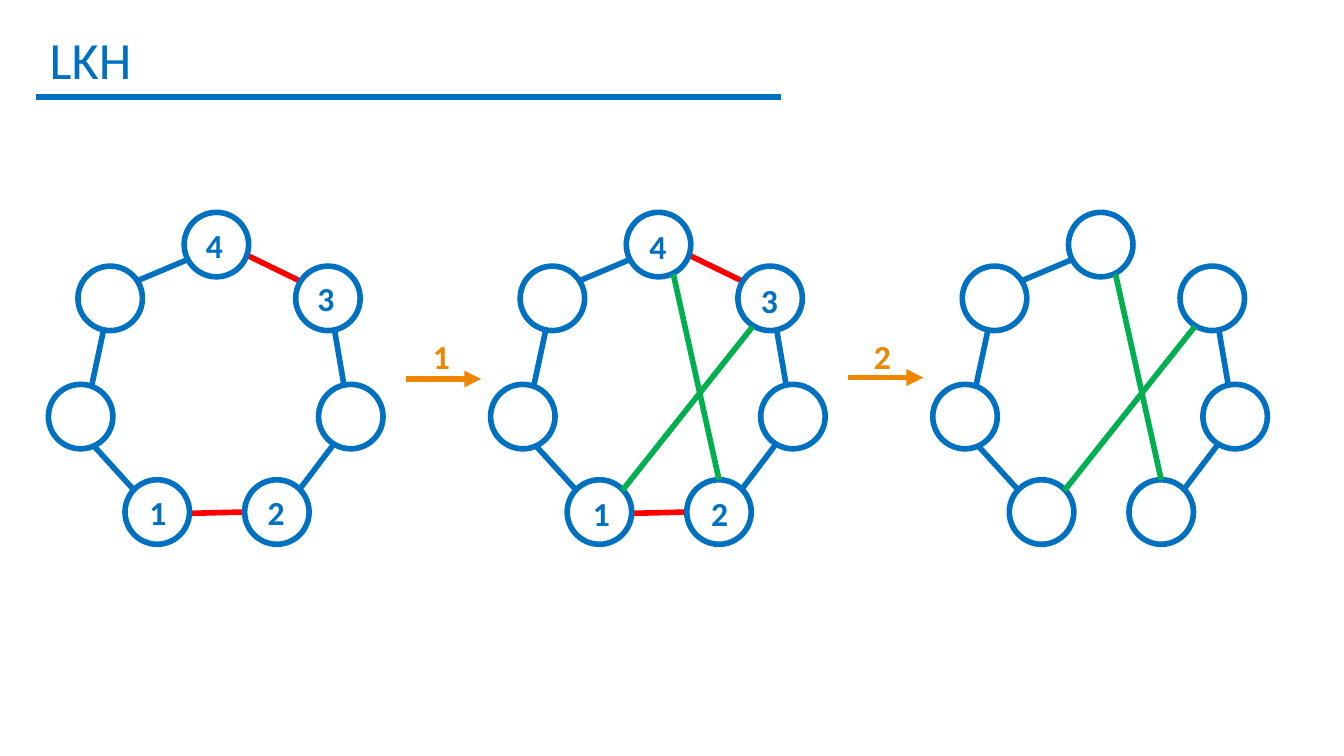
from lxml import etree
from pptx import Presentation
from pptx.dml.color import RGBColor
from pptx.enum.shapes import MSO_CONNECTOR, MSO_SHAPE
from pptx.enum.text import MSO_ANCHOR, MSO_AUTO_SIZE, PP_ALIGN
from pptx.oxml.ns import qn
from pptx.util import Inches, Pt

BLUE = RGBColor(0x00, 0x70, 0xC0)
RED = RGBColor(0xFF, 0x00, 0x00)
GREEN = RGBColor(0x00, 0xB0, 0x50)
ORANGE = RGBColor(0xEF, 0x86, 0x00)
STRAIGHT = MSO_CONNECTOR.STRAIGHT
OVAL = MSO_SHAPE.OVAL
TOP, MIDDLE = MSO_ANCHOR.TOP, MSO_ANCHOR.MIDDLE
LEFT, CENTER = PP_ALIGN.LEFT, PP_ALIGN.CENTER
NO_AUTOFIT = MSO_AUTO_SIZE.NONE

TOUR_STEP = 3.29
LABEL_STEP = 3.3
NODE_SIZE = 0.48
LABEL_HEIGHT = 0.28

# Positions within the first tour; the other tours are shifted to the right.
NODES = [(1.37, 1.58), (0.58, 1.98), (2.2, 1.98), (0.36, 2.86),
         (2.37, 2.86), (1.82, 3.57), (0.93, 3.57)]
KEPT_EDGES = [(1.02, 2.09, 1.4, 1.93), (2.56, 2.87, 2.49, 2.46),
              (2.23, 3.64, 2.48, 3.31), (0.7, 3.32, 1.0, 3.65),
              (0.68, 2.88, 0.77, 2.46)]
REMOVED_EDGES = [(2.23, 2.09, 1.84, 1.9), (1.41, 3.82, 1.82, 3.81)]
ADDED_EDGES = [(2.06, 3.57, 1.72, 2.04), (1.34, 3.65, 2.31, 2.43)]
NODE_LABELS = [("1", 0.99, 3.67), ("2", 1.87, 3.67),
               ("3", 2.24, 2.08), ("4", 1.41, 1.68)]


class TourSlide:
    font = "Calibri"
    line_width = Pt(3)

    def __init__(self, presentation):
        self.slide = presentation.slides.add_slide(presentation.slide_layouts[5])
        self.shapes = self.slide.shapes

    def style_text(self, frame, text, size, color, bold, align, anchor):
        frame.text = text
        frame.word_wrap = True
        frame.auto_size = NO_AUTOFIT
        frame.vertical_anchor = anchor
        paragraph = frame.paragraphs[0]
        paragraph.alignment = align
        font = paragraph.font
        font.name, font.size, font.bold = self.font, Pt(size), bold
        font.color.rgb = color

    def title(self, text, left, top, width, height):
        title = self.shapes.title
        title.left, title.top = Inches(left), Inches(top)
        title.width, title.height = Inches(width), Inches(height)
        frame = title.text_frame
        frame.margin_left = frame.margin_right = Inches(0.1)
        frame.margin_top = frame.margin_bottom = Inches(0.1)
        self.style_text(frame, text, 28, BLUE, False, LEFT, TOP)

    def label(self, text, left, top, width, color):
        box = self.shapes.add_textbox(Inches(left), Inches(top),
                                      Inches(width), Inches(LABEL_HEIGHT))
        self.style_text(box.text_frame, text, 18, color, True, CENTER, MIDDLE)

    def line(self, points, color, shapes=None):
        shapes = self.shapes if shapes is None else shapes
        connector = shapes.add_connector(STRAIGHT, *map(Inches, points))
        connector.line.color.rgb = color
        connector.line.width = self.line_width
        etree.SubElement(connector._element.spPr, qn("a:effectLst"))
        return connector

    def arrow(self, points, color):
        outline = self.line(points, color).line._get_or_add_ln()
        etree.SubElement(outline, qn("a:tailEnd"), type="triangle")

    def node(self, left, top, shapes):
        node = shapes.add_shape(OVAL, Inches(left), Inches(top),
                                Inches(NODE_SIZE), Inches(NODE_SIZE))
        node.shadow.inherit = False
        node.fill.background()
        node.line.color.rgb = BLUE
        node.line.width = self.line_width

    def tour(self, offset, removed, added):
        shapes = self.shapes.add_group_shape().shapes

        def edges(group, color):
            for x1, y1, x2, y2 in group:
                self.line((x1 + offset, y1, x2 + offset, y2), color, shapes)

        edges(removed, RED)
        for left, top in NODES:
            self.node(left + offset, top, shapes)
        edges(KEPT_EDGES, BLUE)
        edges(added, GREEN)

    def node_labels(self, offset, drop):
        for text, left, top in NODE_LABELS:
            self.label(text, left + offset, top + drop, 0.37, BLUE)


def main():
    presentation = Presentation()
    presentation.slide_width = Inches(10)
    presentation.slide_height = presentation.slide_width * 9 // 16

    slide = TourSlide(presentation)
    slide.title("LKH", 0.27, 0.1, 9.32, 0.63)
    slide.line((0.27, 0.72, 5.81, 0.72), BLUE)

    stages = [(REMOVED_EDGES, []), (REMOVED_EDGES, ADDED_EDGES), ([], ADDED_EDGES)]
    for index, (removed, added) in enumerate(stages):
        slide.tour(index * TOUR_STEP, removed, added)

    steps = [("1", 3.02, 2.82, 3.0), ("2", 6.31, 2.81, 6.28)]
    for text, start, y, label_left in steps:
        slide.arrow((start, y, start + 0.56, y), ORANGE)
        slide.label(text, label_left, 2.51, 0.57, ORANGE)

    slide.node_labels(0, 0)
    slide.node_labels(LABEL_STEP, 0.01)

    presentation.save("out.pptx")


if __name__ == "__main__":
    main()
